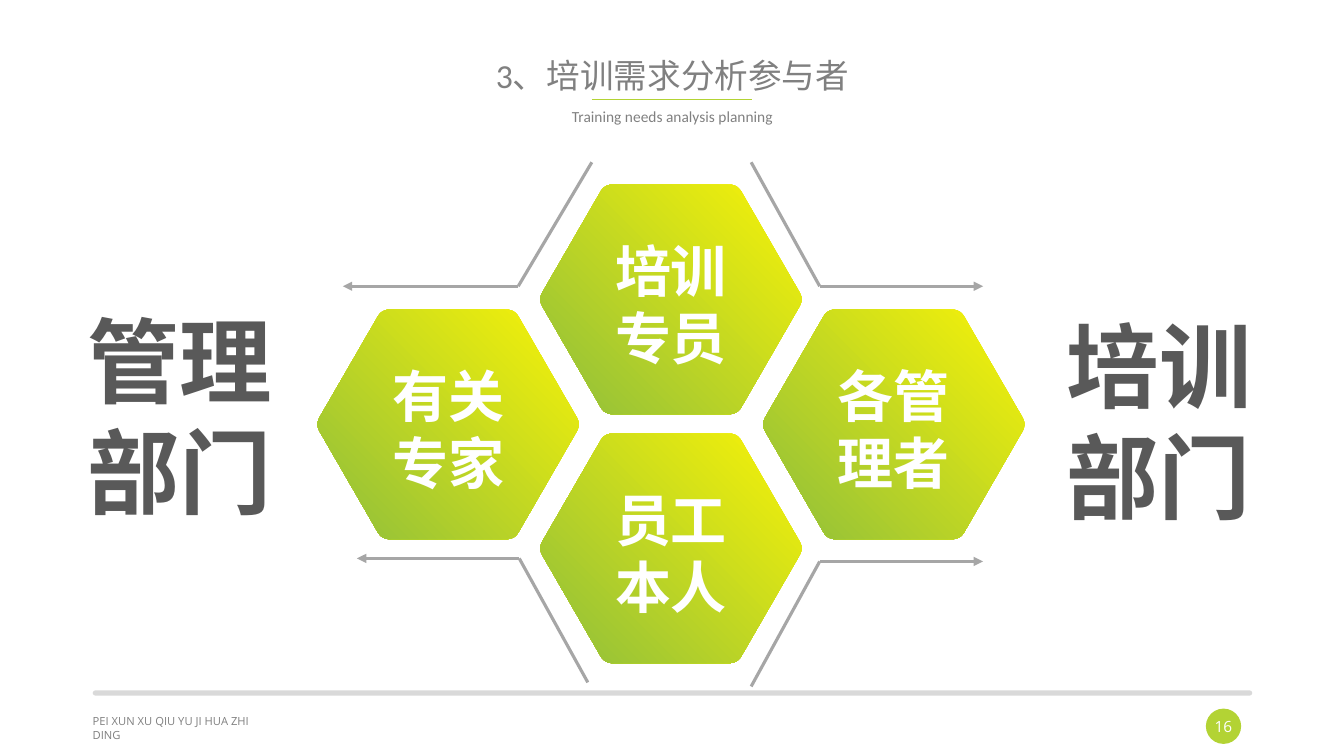
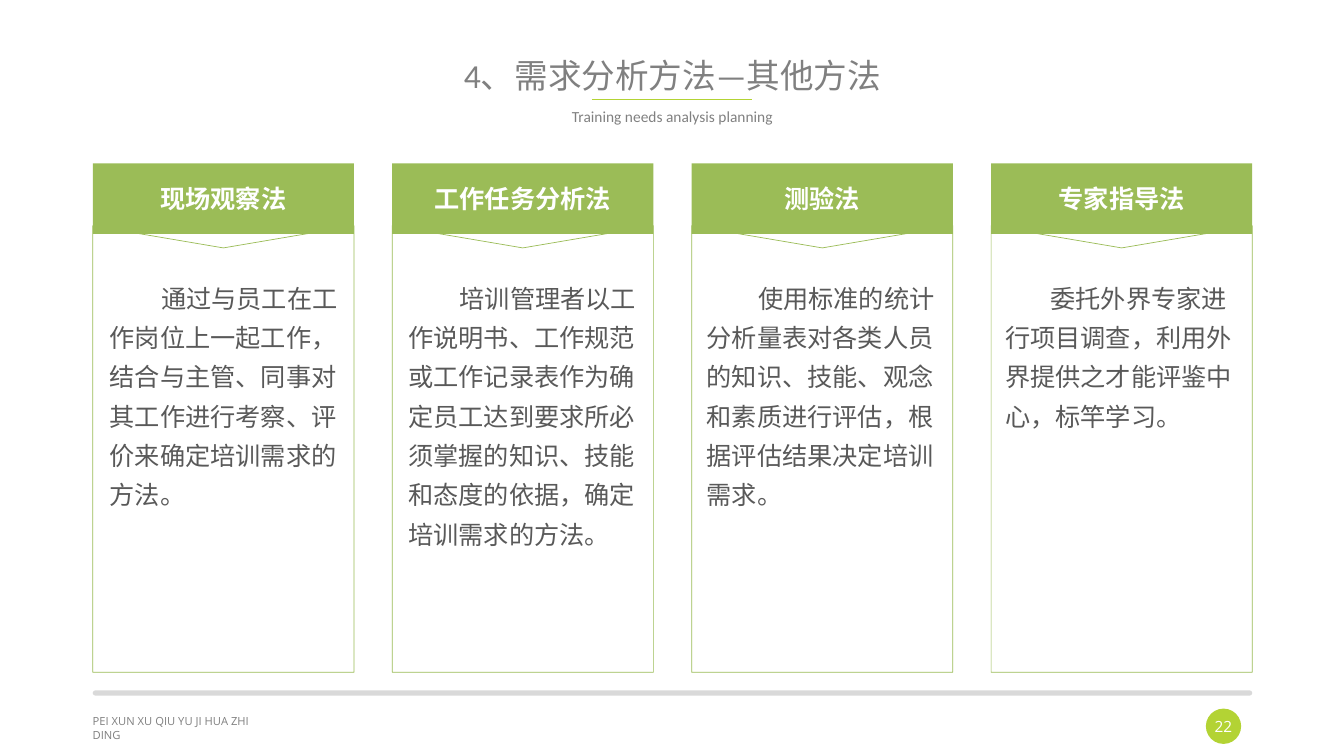
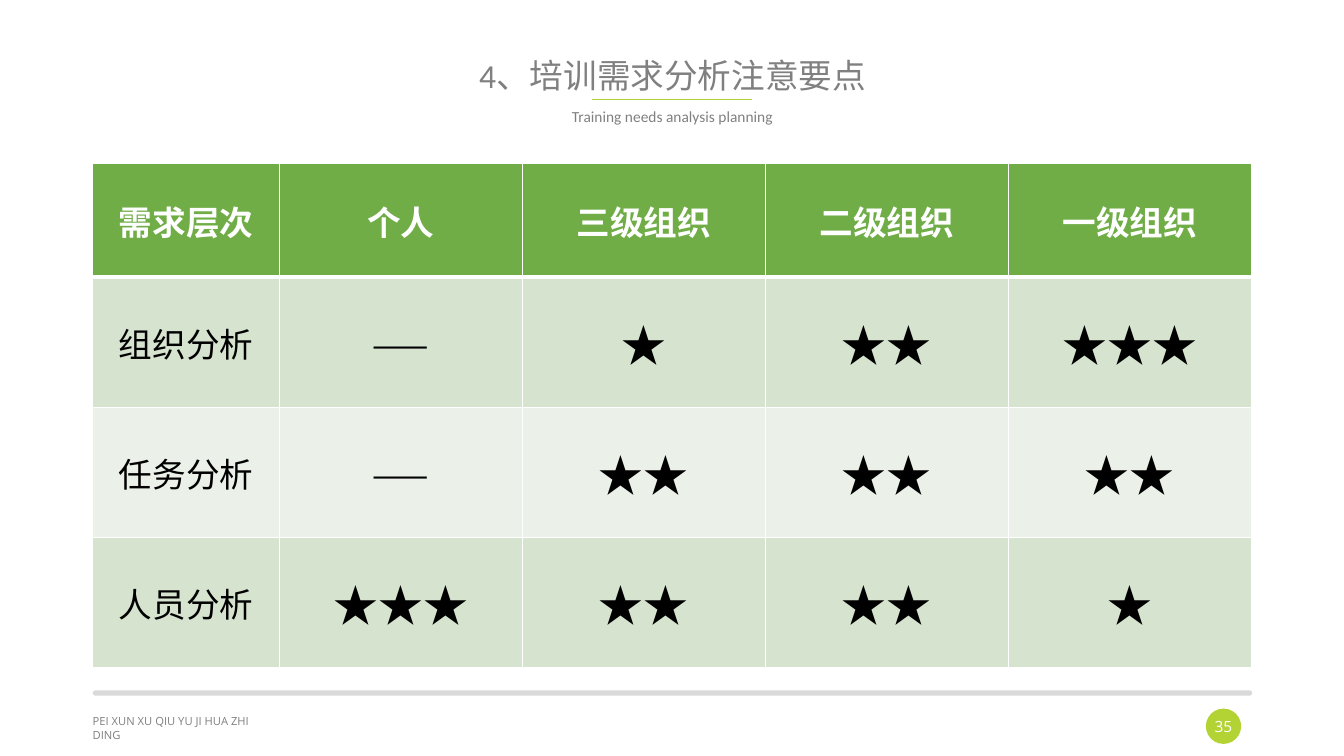
from math import cos, hypot, radians, sin

from lxml.etree import SubElement
from pptx import Presentation
from pptx.dml.color import RGBColor
from pptx.enum.shapes import MSO_CONNECTOR, MSO_SHAPE
from pptx.enum.text import MSO_ANCHOR, PP_ALIGN
from pptx.oxml.ns import qn
from pptx.util import Inches, Pt

# Colours
WHITE = RGBColor(0xFF, 0xFF, 0xFF)
BLACK = RGBColor(0x00, 0x00, 0x00)
TITLE_GRAY = RGBColor(0x80, 0x80, 0x80)
TEXT_GRAY = RGBColor(0x59, 0x59, 0x59)
ARROW_GRAY = RGBColor(0xA6, 0xA6, 0xA6)
RULE_GRAY = RGBColor(0xD9, 0xD9, 0xD9)
LIME = RGBColor(0xB3, 0xD3, 0x34)
HEX_YELLOW = RGBColor(0xF9, 0xF3, 0x07)
HEX_GREEN = RGBColor(0x9C, 0xC5, 0x35)
CARD_GREEN = RGBColor(0x9B, 0xBC, 0x57)
TABLE_GREEN = RGBColor(0x70, 0xAD, 0x47)
ROW_TINTS = (RGBColor(0xEB, 0xF1, 0xE9), RGBColor(0xD5, 0xE3, 0xCF))

# Fonts and page frame
LATIN = "Calibri"
CJK = "Noto Sans CJK SC"
FOOTER_FONT = "Open Sans"
LEFT, WIDTH = 0.92, 11.5

# Hexagon geometry
HEX_WIDTH, HEX_HEIGHT = 2.59, 2.28
HEX_RADIUS, HEX_ROUNDING = 1.315, 0.08


# Text helpers
def write(frame, text, size, color, font=LATIN, bold=False,
          align=PP_ALIGN.CENTER, anchor=MSO_ANCHOR.TOP, margins=None, spacing=None):
    frame.text = text
    frame.word_wrap = True
    frame.vertical_anchor = anchor
    if margins is not None:
        (frame.margin_left, frame.margin_top,
         frame.margin_right, frame.margin_bottom) = map(Inches, margins)
    for paragraph in frame.paragraphs:
        paragraph.alignment = align
        paragraph.line_spacing = spacing
        for run in paragraph.runs:
            style_run(run, size, color, font, bold)


def style_run(run, size, color, font, bold):
    run.font.size = Pt(size)
    run.font.bold = bold
    run.font.color.rgb = color
    run.font.name = font
    SubElement(run.font._element, qn("a:ea"), typeface=font)


def add_text(slide, box, text, size, color, **style):
    shape = slide.shapes.add_textbox(*map(Inches, box))
    write(shape.text_frame, text, size, color, **style)
    return shape


# Shape helpers
def add_filled(slide, kind, box, color):
    shape = slide.shapes.add_shape(kind, *map(Inches, box))
    shape.shadow.inherit = False
    shape.fill.solid()
    shape.fill.fore_color.rgb = color
    shape.line.fill.background()
    return shape


def add_line(slide, start, end, color, width, arrow=False):
    line = slide.shapes.add_connector(
        MSO_CONNECTOR.STRAIGHT, *map(Inches, (*start, *end)))
    line.line.color.rgb = color
    line.line.width = Pt(width)
    if arrow:
        SubElement(line.line._get_or_add_ln(), qn("a:tailEnd"), type="triangle")
    SubElement(line._element.spPr, qn("a:effectLst"))


def add_outline(slide, points):
    corners = [(Inches(x), Inches(y)) for x, y in points]
    builder = slide.shapes.build_freeform(*corners[0])
    builder.add_line_segments(corners[1:], close=True)
    shape = builder.convert_to_shape()
    shape.shadow.inherit = False
    return shape


# Frame shared by all slides
def add_framed_slide(presentation, title, number):
    slide = presentation.slides.add_slide(presentation.slide_layouts[5])
    add_filled(slide, MSO_SHAPE.ROUNDED_RECTANGLE,
               (LEFT, 6.85, WIDTH, 0.05), RULE_GRAY).adjustments[0] = 0.5
    add_line(slide, (5.87, 0.99), (7.46, 0.99), LIME, 0.5)
    badge = add_filled(slide, MSO_SHAPE.OVAL, (11.96, 7.03, 0.35, 0.35), LIME)
    write(badge.text_frame, str(number), 11, WHITE, font=FOOTER_FONT,
          anchor=MSO_ANCHOR.MIDDLE, margins=(0, 0, 0, 0))
    add_text(slide, (0.82, 7.04, 1.78, 0.24), "PEI XUN XU QIU YU JI HUA ZHI DING",
             8, TITLE_GRAY, font=FOOTER_FONT, align=PP_ALIGN.LEFT)

    heading = slide.shapes.title
    heading.left, heading.top = Inches(LEFT), Inches(0.34)
    heading.width, heading.height = Inches(WIDTH), Inches(0.86)
    write(heading.text_frame, title, 24, TITLE_GRAY,
          anchor=MSO_ANCHOR.MIDDLE, spacing=0.9)
    add_text(slide, (LEFT, 1.03, WIDTH, 0.58), "Training needs analysis planning",
             11, TITLE_GRAY, spacing=0.9)
    return slide


# Participants: rounded hexagons and arrows
def toward(start, end, distance):
    share = distance / hypot(end[0] - start[0], end[1] - start[1])
    return tuple(a + (b - a) * share for a, b in zip(start, end))


def rounded_hexagon(left, top, steps=6):
    center_x, center_y = left + HEX_WIDTH / 2, top + HEX_HEIGHT / 2
    corners = [(center_x + HEX_RADIUS * cos(radians(60 * k)),
                center_y + HEX_RADIUS * sin(radians(60 * k))) for k in range(6)]
    points = []
    for k, corner in enumerate(corners):
        entry = toward(corner, corners[k - 1], HEX_ROUNDING)
        leave = toward(corner, corners[(k + 1) % 6], HEX_ROUNDING)
        for step in range(steps + 1):
            t = step / steps
            points.append(tuple(
                (1 - t) ** 2 * a + 2 * t * (1 - t) * b + t ** 2 * c
                for a, b, c in zip(entry, corner, leave)))
    return points


def add_hexagon(slide, left, top, label):
    hexagon = add_outline(slide, rounded_hexagon(left, top))
    hexagon.line.fill.background()
    hexagon.fill.gradient()
    hexagon.fill.gradient_angle = 225
    for stop, color, position in zip(hexagon.fill.gradient_stops,
                                     (HEX_YELLOW, HEX_GREEN), (0, 0.87)):
        stop.color.rgb = color
        stop.position = position
    write(hexagon.text_frame, label, 40, WHITE, bold=True,
          anchor=MSO_ANCHOR.MIDDLE, margins=(0, 0.09, 0, 0))


def build_participants(presentation):
    slide = add_framed_slide(presentation, "3、培训需求分析参与者", 16)
    for left, top, label in (
        (5.36, 1.83, "培训\n专员"),
        (7.57, 3.07, "各管\n理者"),
        (5.36, 4.3, "员工\n本人"),
        (3.15, 3.07, "有关\n专家"),
    ):
        add_hexagon(slide, left, top, label)
    for start, bend, end in (
        ((7.45, 1.61), (8.13, 2.84), (9.75, 2.84)),
        ((7.45, 6.81), (8.13, 5.57), (9.75, 5.57)),
        ((5.87, 1.61), (5.14, 2.84), (3.4, 2.84)),
        ((5.83, 6.77), (5.15, 5.54), (3.54, 5.54)),
    ):
        add_line(slide, start, bend, ARROW_GRAY, 2.25)
        add_line(slide, bend, end, ARROW_GRAY, 2.25, arrow=True)
    for left, top, department in ((0.71, 2.97, "管理\n部门"), (10.42, 3.02, "培训部门")):
        add_text(slide, (left, top, 2.15, 2.38), department, 66, TEXT_GRAY, bold=True)


# Other methods: four cards
def add_method_card(slide, index, name, description, indent):
    left, width = LEFT + 2.97 * index, 2.59
    right, top, bottom = left + width, 2.24, 6.67
    header = add_filled(slide, MSO_SHAPE.RECTANGLE, (left, 1.62, width, 0.7), CARD_GREEN)
    write(header.text_frame, name, 18, WHITE, font=CJK, bold=True,
          anchor=MSO_ANCHOR.MIDDLE, margins=(0, 0, 0, 0))
    frame = add_outline(slide, [(right, bottom), (right, top), (left + width / 2, 2.46),
                                (left, top), (left, bottom)])
    frame.fill.background()
    frame.line.color.rgb = CARD_GREEN
    frame.line.width = Pt(0.5)
    body = add_text(slide, (0.99 + 2.96 * index, 2.67, width, 2.86), description,
                    18, TEXT_GRAY, align=PP_ALIGN.LEFT, spacing=1.3)
    properties = body.text_frame.paragraphs[0]._p.get_or_add_pPr()
    properties.set("indent", str(Inches(indent)))


def build_methods(presentation):
    slide = add_framed_slide(presentation, "4、需求分析方法—其他方法", 22)
    methods = (
        ("现场观察法",
         "通过与员工在工作岗位上一起工作，结合与主管、同事对其工作进行考察、"
         "评价来确定培训需求的方法。", 0.51),
        ("工作任务分析法",
         "培训管理者以工作说明书、工作规范或工作记录表作为确定员工达到要求所必须"
         "掌握的知识、技能和态度的依据，确定培训需求的方法。", 0.51),
        ("测验法",
         "使用标准的统计分析量表对各类人员的知识、技能、观念和素质进行评估，"
         "根据评估结果决定培训需求。", 0.51),
        ("专家指导法",
         "委托外界专家进行项目调查，利用外界提供之才能评鉴中心，标竿学习。", 0.45),
    )
    for index, method in enumerate(methods):
        add_method_card(slide, index, *method)


# Key points: table of levels
def set_borders(cell, top, bottom):
    properties = cell._tc.get_or_add_tcPr()
    for side, width in (("L", 1), ("R", 1), ("T", top), ("B", bottom)):
        border = SubElement(properties, qn(f"a:ln{side}"), w=str(Pt(width)))
        fill = SubElement(border, qn("a:solidFill"))
        SubElement(fill, qn("a:srgbClr"), val=str(WHITE))


def format_cell(cell, row, text):
    header = row == 0
    set_borders(cell, top=3 if row == 1 else 1, bottom=3 if header else 1)
    cell.fill.solid()
    cell.fill.fore_color.rgb = TABLE_GREEN if header else ROW_TINTS[row % 2]
    cell.vertical_anchor = MSO_ANCHOR.MIDDLE
    cell.margin_left = cell.margin_top = cell.margin_right = Inches(0.01)
    cell.margin_bottom = 0
    cell.text = text
    paragraph = cell.text_frame.paragraphs[0]
    paragraph.alignment = PP_ALIGN.CENTER
    style_run(paragraph.runs[0], 32 if "★" in text else 24,
              WHITE if header else BLACK, CJK, header)


def build_key_points(presentation):
    slide = add_framed_slide(presentation, "4、培训需求分析注意要点", 35)
    rows = (
        ("需求层次", "个人", "三级组织", "二级组织", "一级组织"),
        ("组织分析", "——", "★", "★★", "★★★"),
        ("任务分析", "——", "★★", "★★", "★★"),
        ("人员分析", "★★★", "★★", "★★", "★"),
    )
    table = slide.shapes.add_table(
        len(rows), len(rows[0]), *map(Inches, (LEFT, 1.62, WIDTH, 5.01))).table
    for index, column in enumerate(table.columns):
        column.width = Inches(2.41 if index else 1.85)
    for index, row in enumerate(table.rows):
        row.height = Inches(1.29 if index else 1.13)
        for cell, text in zip(row.cells, rows[index]):
            format_cell(cell, index, text)


def main():
    presentation = Presentation()
    presentation.slide_width, presentation.slide_height = Inches(13.33), Inches(7.5)
    build_participants(presentation)
    build_methods(presentation)
    build_key_points(presentation)
    presentation.save("out.pptx")


if __name__ == "__main__":
    main()
